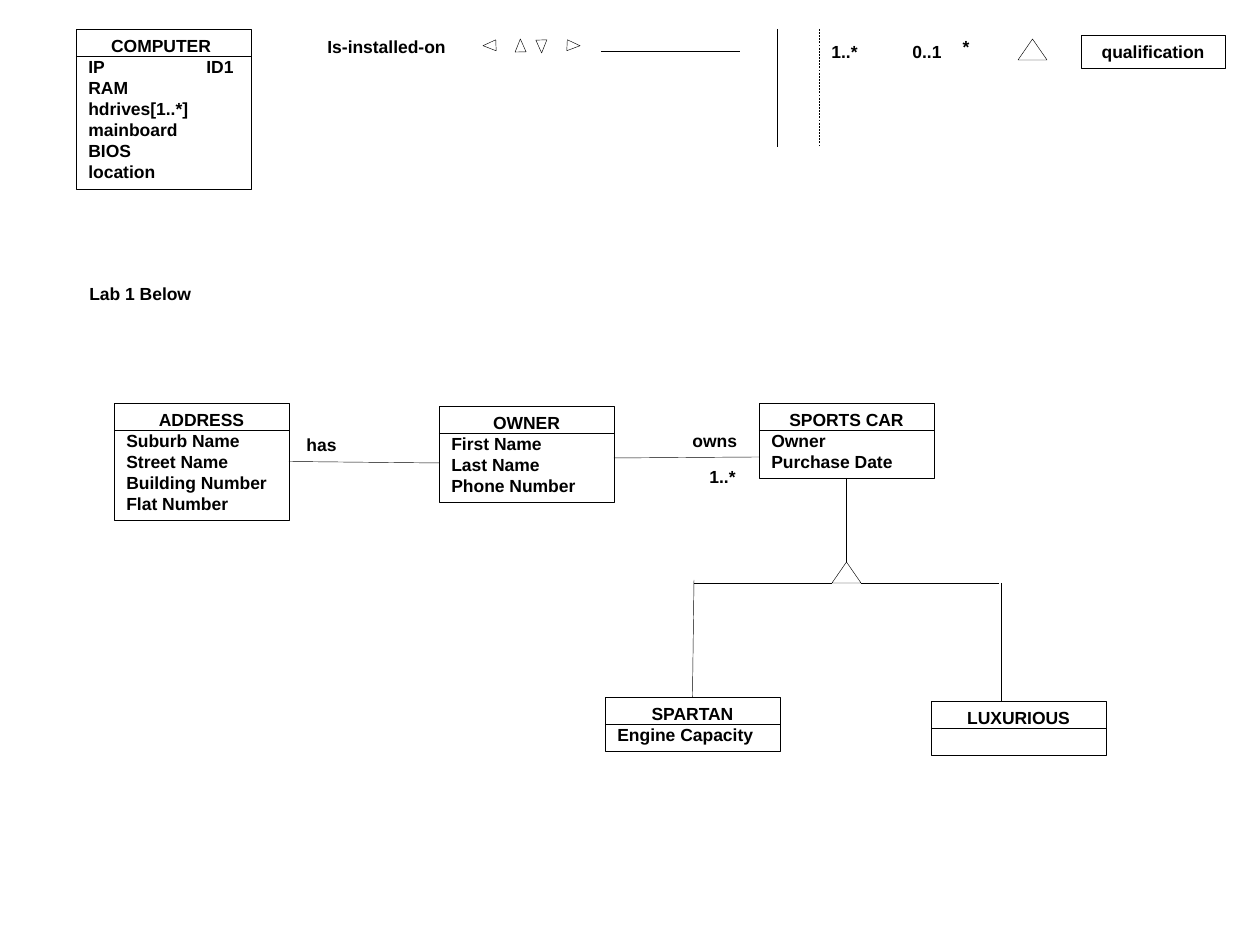
from dataclasses import dataclass

from pptx import Presentation
from pptx.dml.color import RGBColor
from pptx.enum.dml import MSO_LINE
from pptx.enum.shapes import MSO_CONNECTOR, MSO_SHAPE
from pptx.enum.text import MSO_ANCHOR, PP_ALIGN
from pptx.oxml.ns import qn
from pptx.util import Emu, Pt

RECT, TRI = MSO_SHAPE.RECTANGLE, MSO_SHAPE.ISOSCELES_TRIANGLE
STRAIGHT, DASH = MSO_CONNECTOR.STRAIGHT, MSO_LINE.DASH
TOP, LEFT, CENTER = MSO_ANCHOR.TOP, PP_ALIGN.LEFT, PP_ALIGN.CENTER
SCALE = 914400 / 126
WIDE, HEAD, TAB = 175, 27, 118
NORTH, SOUTH, EAST = 0, 2, 3


@dataclass(frozen=True)
class Theme:
    """Hold the colours, font and sizes."""
    ink: RGBColor = RGBColor(0, 0, 0)
    paper: RGBColor = RGBColor(255, 255, 255)
    face: str = "Arial"
    size: Pt = Pt(10)
    rule: Pt = Pt(0.25)


THEME = Theme()
FONT = {"name": THEME.face, "size": THEME.size, "bold": True}


def px(*nums):
    """Turn pixels into EMU."""
    return [Emu(round(num * SCALE)) for num in nums]


def style(item, form):
    """Set attributes from a dict."""
    for key, value in form.items():
        setattr(item, key, value)


def stroke(item):
    """Draw the thin outline of a shape or connector."""
    item.line.color.rgb = THEME.ink
    item.line.width = THEME.rule


def add_tab(para):
    """Give a paragraph its left tab stop."""
    stops = para._p.get_or_add_pPr().makeelement(qn("a:tabLst"), {})
    para._p.get_or_add_pPr().append(stops)
    spot = {"pos": str(px(TAB)[0]), "algn": "l"}
    stops.append(stops.makeelement(qn("a:tab"), spot))


def write(shape, rows, first=LEFT, wrap=True):
    """Write one paragraph per row, the first with its own alignment."""
    frame = shape.text_frame
    style(frame, {"word_wrap": wrap, "vertical_anchor": TOP})
    for num, row in enumerate(rows):
        para = frame.add_paragraph() if num else frame.paragraphs[0]
        para.alignment = LEFT if num else first
        if "\t" in row:
            add_tab(para)
        run = para.add_run()
        run.text = row
        style(run.font, FONT)
        run.font.color.rgb = THEME.ink


def add_line(slide, x1, y1, x2, y2, start=None, end=None):
    """Draw a thin line, joined to (shape, site) pairs where given."""
    line = slide.shapes.add_connector(STRAIGHT, *px(x1, y1, x2, y2))
    stroke(line)
    props = line._element.spPr
    props.append(props.makeelement(qn("a:effectLst"), {}))
    if start:
        line.begin_connect(*start)
    if end:
        line.end_connect(*end)
    return line


def add_label(slide, text, x, y, wide):
    """Place a one-line label."""
    box = slide.shapes.add_textbox(*px(x, y, wide, 33))
    write(box, [text], wrap=False)


def add_box(slide, rows, x, y, wide, high):
    """Draw an open box with a centred first row."""
    box = slide.shapes.add_shape(RECT, *px(x, y, wide, high))
    box.shadow.inherit = False
    box.fill.background()
    stroke(box)
    write(box, rows, first=CENTER)
    return box


def add_class(slide, rows, x, y, high):
    """Draw a class box with a rule below its name."""
    box = add_box(slide, rows, x, y, WIDE, high)
    add_line(slide, x, y + HEAD, x + WIDE, y + HEAD)
    return box


def add_tri(slide, x, y, wide, high, turn=0):
    """Draw a white triangle."""
    tri = slide.shapes.add_shape(TRI, *px(x, y, wide, high))
    tri.shadow.inherit = False
    tri.fill.solid()
    tri.fill.fore_color.rgb = THEME.paper
    tri.rotation = turn
    stroke(tri)
    return tri


def add_key(slide, x, y):
    """Lay out the row of sample symbols."""
    rows = ["COMPUTER ", "IP\tID1", "RAM", "hdrives[1..*]",
            "mainboard", "BIOS", "location"]
    add_class(slide, rows, x, y, 160)
    for text, dx, dy, wide in [("Is-installed-on", 239, 1, 144),
                               ("1..*", 743, 6, 55),
                               ("0..1", 824, 6, 55), ("*", 879, 1, 20)]:
        add_label(slide, text, x + dx, y + dy, wide)
    for dx, dy, turn in [(408, 10, 268.1), (439, 10, 358.9),
                         (460, 11, 178.5), (492, 10, 92.4)]:
        add_tri(slide, x + dx, y + dy, 11, 13, turn)
    add_line(slide, x + 525, y + 22, x + 664, y + 22)
    add_line(slide, x + 701, y, x + 701, y + 118)
    add_line(slide, x + 743, y, x + 743, y + 118).line.dash_style = DASH
    add_tri(slide, x + 942, y + 10, 29, 21)
    add_box(slide, ["qualification"], x + 1005, y + 6, 144, 33)


def add_model(slide, x, y):
    """Lay out the class diagram of owners and cars."""
    home = add_class(slide, ["ADDRESS", "Suburb Name Street Name "
                             "Building Number Flat Number"], x, y, 117)
    add_class(slide, ["OWNER", "First Name", "Last Name", "Phone Number"],
              x + 325, y + 3, 96)
    car = add_class(slide, ["SPORTS CAR", "Owner", "Purchase Date"],
                    x + 645, y, 75)
    plain = add_class(slide, ["SPARTAN", "Engine Capacity"],
                      x + 491, y + 294, 54)
    add_class(slide, ["LUXURIOUS"], x + 817, y + 298, 54)
    add_line(slide, x + 175, y + 57, x + 325, y + 60, start=(home, EAST))
    add_line(slide, x + 500, y + 55, x + 645, y + 54)
    tri = add_tri(slide, x + 718, y + 159, 29, 21)
    add_line(slide, x + 733, y + 75, x + 733, y + 159,
             (car, SOUTH), (tri, NORTH))
    add_line(slide, x + 580, y + 180, x + 718, y + 180)
    add_line(slide, x + 747, y + 180, x + 885, y + 180)
    add_line(slide, x + 580, y + 177, x + 580, y + 294, end=(plain, NORTH))
    add_line(slide, x + 887, y + 180, x + 887, y + 298)
    for text, dx, dy, wide in [("has", 180, 25, 55), ("owns", 566, 21, 70),
                               ("1..*", 583, 57, 55)]:
        add_label(slide, text, x + dx, y + dy, wide)


def main():
    """Build and save the slide."""
    deck = Presentation()
    deck.slide_width, deck.slide_height = px(1260, 945)
    slide = deck.slides.add_slide(deck.slide_layouts[6])
    add_key(slide, 76, 29)
    add_label(slide, "Lab 1 Below", 77, 277, 127)
    add_model(slide, 114, 403)
    deck.save("out.pptx")


if __name__ == "__main__":
    main()
